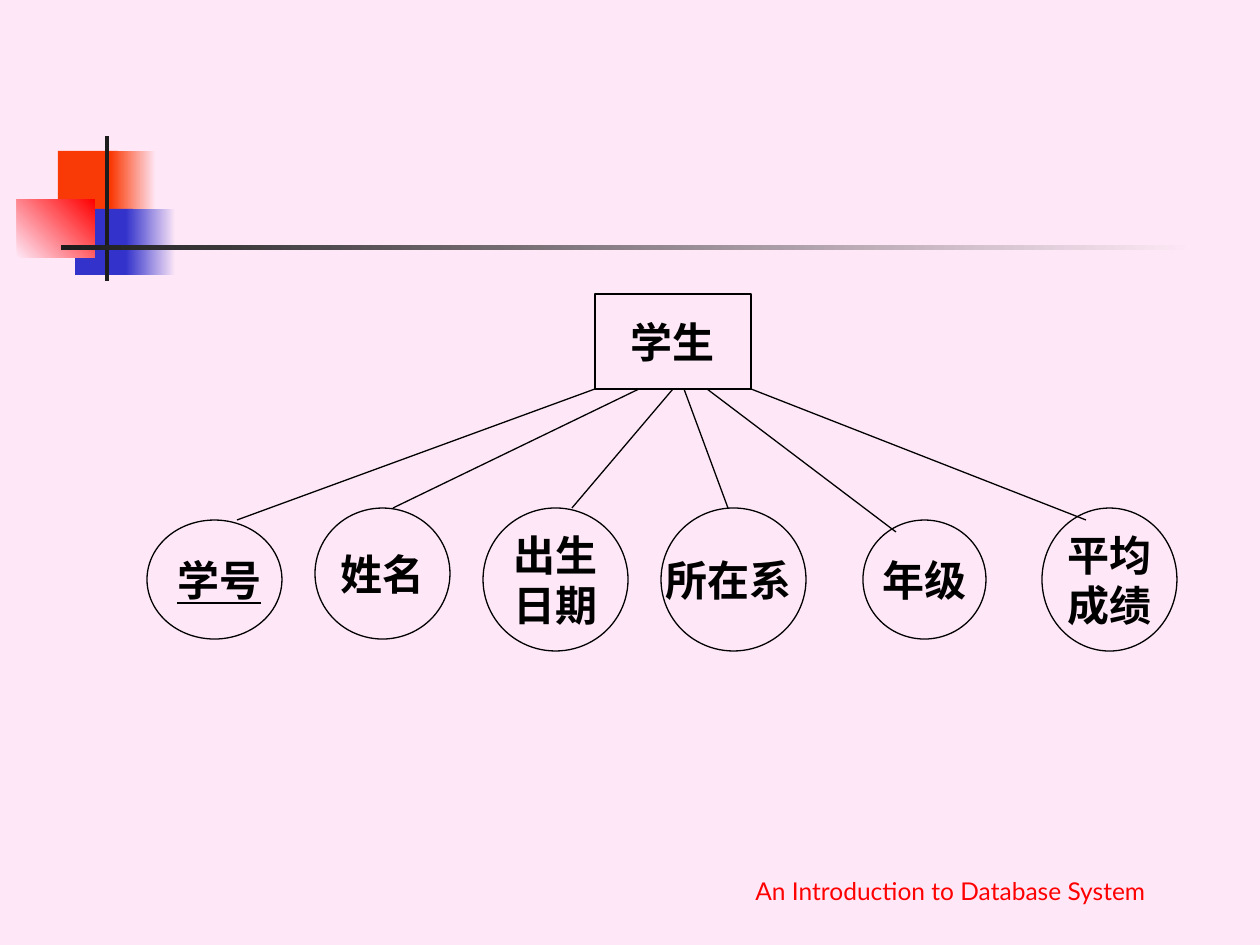
"""Build a slide showing the student entity and its six attributes."""
from lxml import etree
from pptx import Presentation
from pptx.dml.color import RGBColor
from pptx.enum.shapes import MSO_CONNECTOR, MSO_SHAPE
from pptx.enum.text import MSO_ANCHOR, PP_ALIGN
from pptx.oxml.ns import qn
from pptx.util import Pt

RECTANGLE, ELLIPSE = MSO_SHAPE.RECTANGLE, MSO_SHAPE.OVAL
STRAIGHT = MSO_CONNECTOR.STRAIGHT
MIDDLE, BOTTOM = MSO_ANCHOR.MIDDLE, MSO_ANCHOR.BOTTOM
CENTER = PP_ALIGN.CENTER
EMU_PER_PX = 914400 / 126

PINK, ORANGE, BLUE, RED, DARK, BLACK = (
    "FEE8F7", "FA3A06", "3333CC", "FF0000", "1C1C1C", "000000")

# box, colours (two make a gradient), gradient angle
DECORATION = [
    ((58, 151, 60, 66), [ORANGE], 0),
    ((111, 151, 45, 66), [ORANGE, PINK], 0),
    ((75, 209, 58, 66), [BLUE], 0),
    ((126, 209, 50, 66), [BLUE, PINK], 0),
    ((17, 199, 78, 59), [PINK, RED], 45),
    ((105, 136, 4, 145), [DARK], 0),
    ((61, 245, 1134, 5), [DARK, PINK], 0),
]
ENTITY = ("学生", (595, 294, 156, 95))
# label, box, link x on the entity, link end, underlined, text shift
ATTRIBUTES = [
    ("学号", (147, 520, 135, 119), 595, (237, 520), True, 5),
    ("姓名", (315, 508, 135, 131), 639, (393, 508), False, 0),
    ("出生\n日期", (483, 508, 145, 143), 673, (572, 508), False, 0),
    ("所在系", (661, 508, 145, 143), 684, (728, 508), False, -5),
    ("年级", (863, 520, 123, 119), 707, (896, 532), False, 0),
    ("平均\n成绩", (1042, 508, 135, 143), 751, (1086, 520), False, 0),
]
FOOTER = ("An Introduction to Database System", (693, 849, 515, 63))


def px(length):
    return round(length * EMU_PER_PX)


def rgb(color):
    return RGBColor.from_string(color)


def write(shape, text, font_name, size, color, bold=False, underline=False):
    shape.text_frame.text = text
    for paragraph in shape.text_frame.paragraphs:
        paragraph.alignment = CENTER
        for run in paragraph.runs:
            font = run.font
            font.name, font.size, font.bold = font_name, Pt(size), bold
            font.color.rgb = rgb(color)
            if underline:
                font.underline = True


def add_block(slide, box, colors, angle):
    block = slide.shapes.add_shape(RECTANGLE, *map(px, box))
    block.shadow.inherit = False
    block.line.fill.background()
    if len(colors) == 1:
        block.fill.solid()
        block.fill.fore_color.rgb = rgb(colors[0])
        return
    block.fill.gradient()
    block.fill.gradient_angle = angle
    for stop, color in zip(block.fill.gradient_stops, colors):
        stop.color.rgb = rgb(color)


def add_node(slide, outline, label, box, underline=False, shift=0):
    node = slide.shapes.add_shape(outline, *map(px, box))
    node.shadow.inherit = False
    node.fill.background()
    node.line.color.rgb = rgb(BLACK)
    node.line.width = Pt(0.75)
    write(node, label, "Times New Roman", 24, BLACK, True, underline)
    frame = node.text_frame
    frame.word_wrap = False
    frame.vertical_anchor = MIDDLE
    frame.margin_left = px(max(2 * shift, 0))
    frame.margin_right = px(max(-2 * shift, 0))
    return node


def add_link(slide, entity, start_x, end):
    left, top, width, height = ENTITY[1]
    link = slide.shapes.add_connector(
        STRAIGHT, *map(px, (start_x, top + height, *end)))
    if start_x == left + width / 2:
        link.begin_connect(entity, 2)
    link.line.color.rgb = rgb(BLACK)
    link.line.width = Pt(0.75)
    etree.SubElement(link._element.spPr, qn("a:effectLst"))


def main():
    deck = Presentation()
    deck.slide_width, deck.slide_height = px(1260), px(945)
    slide = deck.slides.add_slide(deck.slide_layouts[6])
    slide.background.fill.solid()
    slide.background.fill.fore_color.rgb = rgb(PINK)

    for box, colors, angle in DECORATION:
        add_block(slide, box, colors, angle)

    text, box = FOOTER
    footer = slide.shapes.add_textbox(*map(px, box))
    write(footer, text, "Lato", 14, RED)
    footer.text_frame.word_wrap = True
    footer.text_frame.vertical_anchor = BOTTOM

    entity = add_node(slide, RECTANGLE, *ENTITY)
    for label, box, start_x, end, underline, shift in ATTRIBUTES:
        add_node(slide, ELLIPSE, label, box, underline, shift)
        add_link(slide, entity, start_x, end)

    deck.save("out.pptx")


if __name__ == "__main__":
    main()
